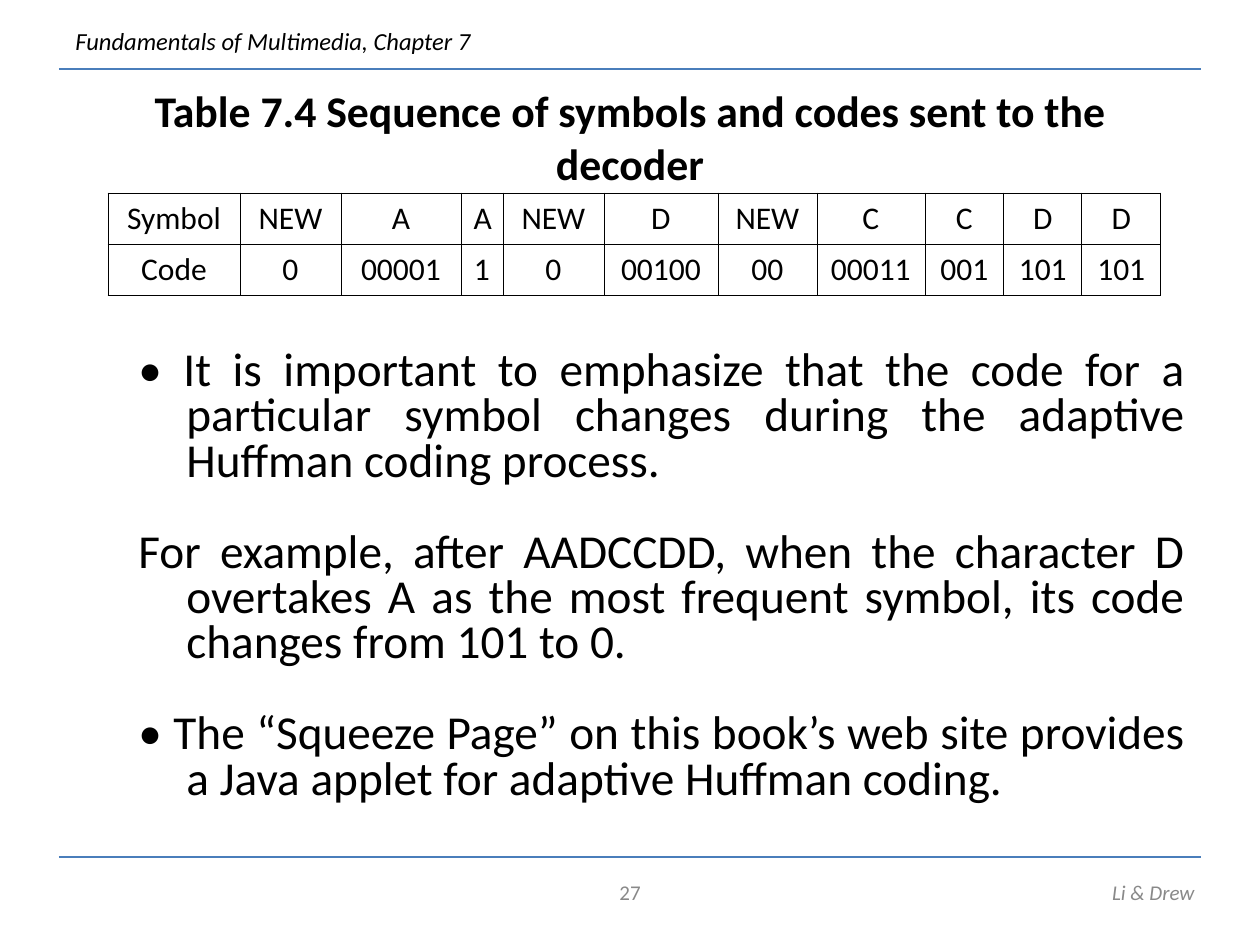
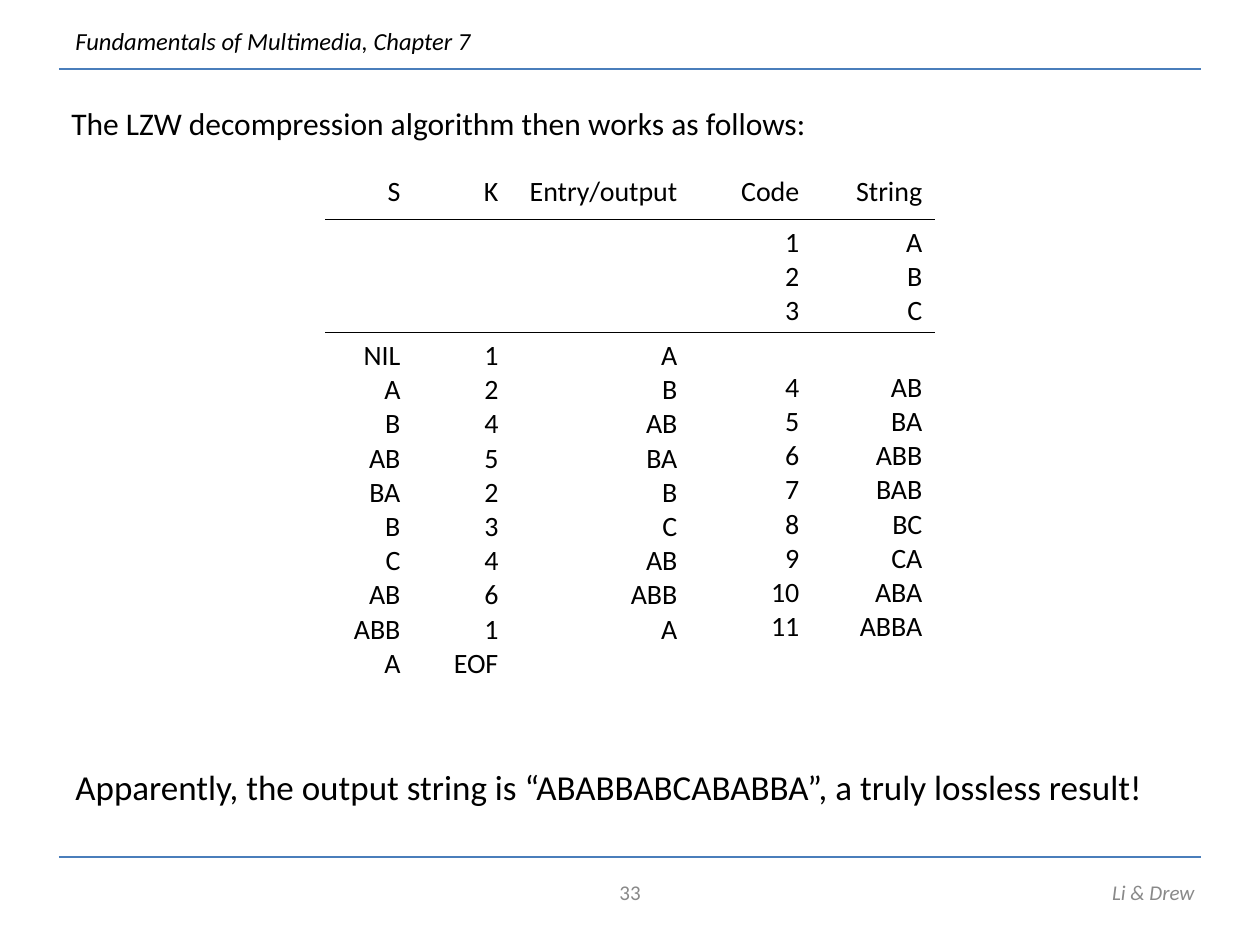
from lxml import etree
from pptx import Presentation
from pptx import util as u
from pptx.dml.color import RGBColor
from pptx.enum import shapes, text
from pptx.oxml.ns import qn

EMU_PER_PX = 914400 / 126
FONT = "Calibri"
BLACK = RGBColor(0x00, 0x00, 0x00)
GREY = RGBColor(0x89, 0x89, 0x89)
BLUE = RGBColor(0x4A, 0x7E, 0xBB)
LEFT, CENTER, RIGHT, JUSTIFY = (
    text.PP_ALIGN.LEFT,
    text.PP_ALIGN.CENTER,
    text.PP_ALIGN.RIGHT,
    text.PP_ALIGN.JUSTIFY,
)
TOP, MIDDLE = text.MSO_ANCHOR.TOP, text.MSO_ANCHOR.MIDDLE
ALL_EDGES = ("L", "R", "T", "B")

CODE_WIDTHS = (132, 101, 120, 42, 101, 114, 99, 108, 79, 78, 79)
CODE_ROWS = (
    "Symbol NEW A A NEW D NEW C C D D".split(),
    "Code 0 00001 1 0 00100 00 00011 001 101 101".split(),
)
REMARKS = (
    "• It is important to emphasize that the code for a particular symbol "
    "changes during the adaptive Huffman coding process.",
    "For example, after AADCCDD, when the character D overtakes A as the most "
    "frequent symbol, its code changes from 101 to 0.",
    "• The “Squeeze Page” on this book’s web site provides a Java applet for "
    "adaptive Huffman coding.",
)
LZW_WIDTHS = (88, 98, 179, 122, 123)
LZW_ROWS = (
    ("S", "K", "Entry/output", "Code", "String"),
    ("", "", "", "1 2 3", "A B C"),
    (
        "NIL A B AB BA B C AB ABB A",
        "1 2 4 5 2 3 4 6 1 EOF",
        "A B AB BA B C AB ABB A",
        "4 5 6 7 8 9 10 11",
        "AB BA ABB BAB BC CA ABA ABBA",
    ),
)


def px(length):
    """Turn whole pixels into EMU."""
    return u.Emu(round(length * EMU_PER_PX))


def write_text(frame, paragraphs, size, color=BLACK, bold=False, italic=False,
               align=LEFT, line_spacing=None, gap=0, margin=0, indent=0):
    """Fill a text frame with equally formatted paragraphs."""
    for index, content in enumerate(paragraphs):
        paragraph = frame.add_paragraph() if index else frame.paragraphs[0]
        paragraph.alignment = align
        if line_spacing:
            paragraph.line_spacing = line_spacing
        if gap and index:
            paragraph.space_before = u.Pt(gap)
        if margin:
            properties = paragraph._p.get_or_add_pPr()
            properties.set("marL", str(px(margin)))
            properties.set("indent", str(px(indent)))
        run = paragraph.add_run()
        run.text = content
        font = run.font
        font.name, font.size = FONT, u.Pt(size)
        font.bold, font.italic = bold, italic
        font.color.rgb = color


def add_text(slide, box, *paragraphs, size, anchor=TOP, wrap=True, **style):
    """Add a text box at left, top, width, height."""
    frame = slide.shapes.add_textbox(*map(px, box)).text_frame
    frame.word_wrap = wrap
    frame.vertical_anchor = anchor
    write_text(frame, paragraphs, size, **style)


def add_rule(slide, y):
    """Draw a blue rule across the slide."""
    rule = slide.shapes.add_connector(
        shapes.MSO_CONNECTOR.STRAIGHT, px(59), px(y), px(1201), px(y))
    rule.line.color.rgb = BLUE
    rule.line.width = u.Pt(0.75)
    etree.SubElement(rule._element.spPr, qn("a:effectLst"))


def set_borders(cell, edges):
    """Draw thin black lines on the named edges and clear the others."""
    properties = cell._tc.get_or_add_tcPr()
    for edge in ALL_EDGES:
        line = etree.SubElement(properties, qn(f"a:ln{edge}"), w=str(u.Pt(0.45)))
        if edge in edges:
            fill = etree.SubElement(line, qn("a:solidFill"))
            etree.SubElement(fill, qn("a:srgbClr"), val=str(BLACK))
        else:
            etree.SubElement(line, qn("a:noFill"))


def add_table(slide, left, top, widths, heights, rows, row_edges, **style):
    """Add an unfilled table whose cells hold one paragraph per word."""
    table = slide.shapes.add_table(
        len(rows), len(widths), px(left), px(top),
        px(sum(widths)), px(sum(heights))).table
    table.first_row = table.horz_banding = False
    for column, width in zip(table.columns, widths):
        column.width = px(width)
    for row, height, values, edges in zip(table.rows, heights, rows, row_edges):
        row.height = px(height)
        for cell, value in zip(row.cells, values):
            set_borders(cell, edges)
            cell.fill.background()
            write_text(cell.text_frame, value.split(), **style)
    return table


def add_page(presentation, number):
    """Add a slide with the shared header, rules and footer."""
    slide = presentation.slides.add_slide(presentation.slide_layouts[6])
    add_rule(slide, 857)
    add_rule(slide, 69)
    add_text(slide, (63, 20, 422, 43), "Fundamentals of Multimedia, Chapter 7",
             size=14, italic=True, wrap=False)
    add_text(slide, (808, 867, 399, 50), "Li & Drew", size=12, color=GREY,
             italic=True, align=RIGHT, anchor=MIDDLE)
    add_text(slide, (483, 867, 294, 50), str(number), size=12, color=GREY,
             align=CENTER, anchor=MIDDLE)
    return slide


def add_huffman_slide(presentation):
    """Show the codes sent to the adaptive Huffman decoder."""
    slide = add_page(presentation, 27)
    add_text(slide, (63, 88, 1134, 108),
             "Table 7.4 Sequence of symbols and codes sent to the", "decoder",
             size=25, bold=True, align=CENTER, line_spacing=0.8, gap=6.2)
    add_text(slide, (63, 344, 1134, 500), *REMARKS, size=27, align=JUSTIFY,
             line_spacing=0.8, gap=26, margin=111, indent=-48)
    add_table(slide, 108, 193, CODE_WIDTHS, (51, 51), CODE_ROWS,
              (ALL_EDGES, ALL_EDGES), size=18, align=CENTER)


def add_lzw_slide(presentation):
    """Show the LZW decompression steps and their result."""
    slide = add_page(presentation, 33)
    add_text(slide, (59, 98, 1134, 98),
             "The LZW decompression algorithm then works as follows:", size=18)
    table = add_table(slide, 325, 168, LZW_WIDTHS, (51, 113, 349), LZW_ROWS,
                      ("B", "TB", "T"), size=16, align=RIGHT)
    for column in (3, 4):
        table.cell(2, column).margin_top = px(38)
    add_text(slide, (63, 767, 1134, 59),
             "Apparently, the output string is “ABABBABCABABBA”, "
             "a truly lossless result!",
             size=20, align=JUSTIFY, line_spacing=0.8)


def main():
    """Build both slides and save them."""
    presentation = Presentation()
    presentation.slide_width, presentation.slide_height = px(1260), px(945)
    add_huffman_slide(presentation)
    add_lzw_slide(presentation)
    presentation.save("out.pptx")


if __name__ == "__main__":
    main()
